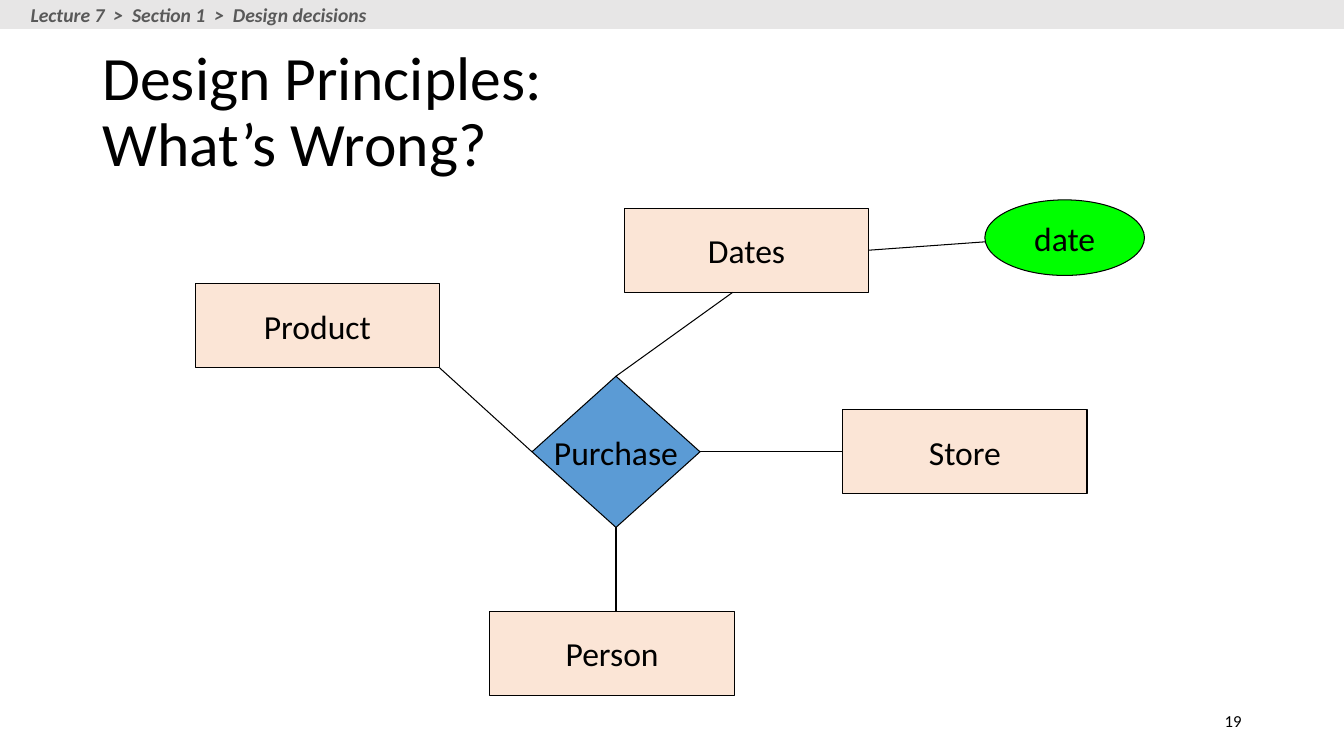
import pptx
import pptx.util
import pptx.dml.color
import pptx.enum.shapes
import pptx.enum.text
import pptx.oxml.ns
import lxml.etree

Pt = pptx.util.Pt
RGBColor = pptx.dml.color.RGBColor
Kind = pptx.enum.shapes.MSO_SHAPE
Link = pptx.enum.shapes.MSO_CONNECTOR
Align = pptx.enum.text.PP_ALIGN
Anchor = pptx.enum.text.MSO_ANCHOR
Fit = pptx.enum.text.MSO_AUTO_SIZE

BLACK = RGBColor(0, 0, 0)
WHITE = RGBColor(255, 255, 255)
GRAY = RGBColor(0x59, 0x59, 0x59)
SILVER = RGBColor(0xE7, 0xE6, 0xE6)
PEACH = RGBColor(0xFB, 0xE5, 0xD6)
BLUE = RGBColor(0x5B, 0x9B, 0xD5)
GREEN = RGBColor(0, 255, 0)

BOX = (174.5, 60)
ENTITIES = {
    "Product": (139.5, 202.75),
    "Person": (350, 436.75),
    "Store": (602, 292.75),
    "Dates": (446, 148.75),
}
LINKS = [
    ((500, 322.75), (602, 322.75)),
    ((440, 376.75), (440, 436.75)),
    ((440, 268.75), (523.5, 208.75)),
    ((620.5, 178.75), (703.5, 172.75)),
    ((314, 262.75), (380, 322.75)),
]


def assign(item, values):
    for name, value in values.items():
        setattr(item, name, value)


def write(shape, text, size, align, wrap=False, anchor=Anchor.MIDDLE, **extra):
    frame = shape.text_frame
    assign(frame, {"auto_size": Fit.NONE, "word_wrap": wrap,
                   "vertical_anchor": anchor})
    frame.text = text
    para = frame.paragraphs[0]
    para.alignment = align
    for run in para.runs:
        look = {"name": "Calibri", "size": Pt(size)} | extra
        color = look.pop("color", BLACK)
        assign(run.font, look)
        run.font.color.rgb = color
    return para


def add_shape(slide, kind, area, fill, text=None):
    shape = slide.shapes.add_shape(kind, *map(Pt, area))
    shape.shadow.inherit = False
    shape.fill.solid()
    shape.fill.fore_color.rgb = fill
    if text:
        shape.line.color.rgb = BLACK
        shape.line.width = Pt(0.75)
        write(shape, text, 24, Align.CENTER)
    else:
        shape.line.fill.background()


def add_label(slide, area, text, size, align, **extra):
    label = slide.shapes.add_textbox(*map(Pt, area))
    write(label, text, size, align, **extra)


def add_link(slide, start, end):
    link = slide.shapes.add_connector(Link.STRAIGHT, *map(Pt, start + end))
    link.line.color.rgb = BLACK
    link.line.width = Pt(0.75)
    lxml.etree.SubElement(link._element.spPr, pptx.oxml.ns.qn("a:effectLst"))


def set_title(slide, text):
    title = slide.shapes.title
    assign(title, {"left": Pt(66), "top": Pt(28.75),
                   "width": Pt(828), "height": Pt(104.5)})
    para = write(title, text, 44, Align.LEFT, wrap=True)
    para.line_spacing = 0.9


def main():
    deck = pptx.Presentation()
    assign(deck, {"slide_width": Pt(960), "slide_height": Pt(540)})
    slide = deck.slides.add_slide(deck.slide_layouts[5])
    slide.background.fill.solid()
    slide.background.fill.fore_color.rgb = WHITE

    set_title(slide, "Design Principles:\vWhat’s Wrong?")
    add_label(slide, (678, 500.5, 216, 28.75), "19", 12, Align.RIGHT)
    add_shape(slide, Kind.DIAMOND, (380, 268.75, 120, 108), BLUE, "Purchase")
    for name, place in ENTITIES.items():
        add_shape(slide, Kind.RECTANGLE, place + BOX, PEACH, name)
    add_shape(slide, Kind.OVAL, (703.5, 142.75, 114, 54), GREEN, "date")
    for start, end in LINKS:
        add_link(slide, start, end)

    add_shape(slide, Kind.RECTANGLE, (0, 0, 960, 20.75), SILVER)
    add_label(slide, (14.75, -1.5, 258, 24.25),
              "Lecture 7  >  Section 1  >  Design decisions", 14, Align.LEFT,
              anchor=Anchor.TOP, color=GRAY, bold=True, italic=True)
    deck.save("out.pptx")


main()
